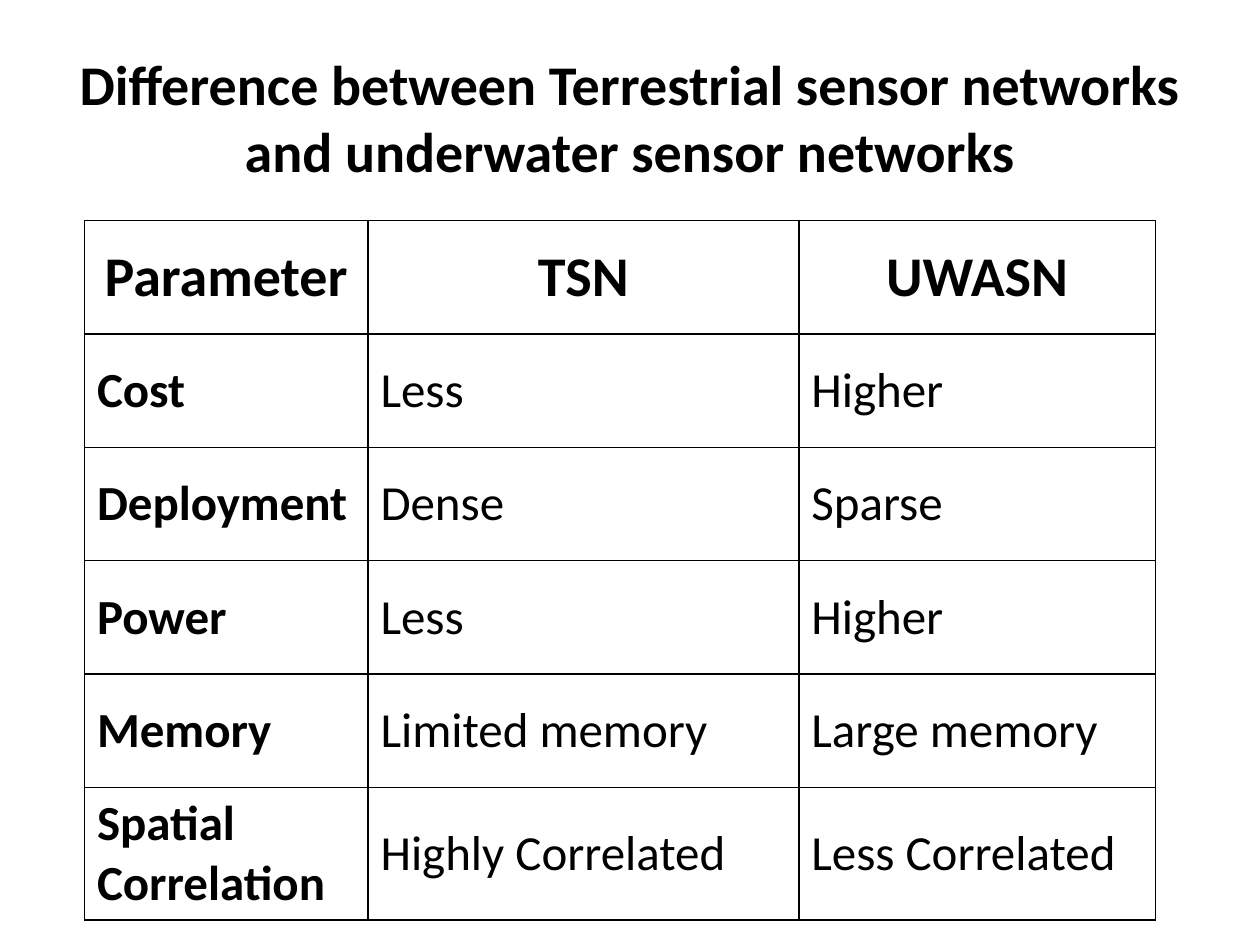
"""Build a slide with a table comparing terrestrial and underwater sensor networks."""
from lxml import etree
from pptx import Presentation
from pptx.dml.color import RGBColor
from pptx.enum import text
from pptx.oxml import ns
from pptx.util import Inches, Pt

BLACK = RGBColor(0, 0, 0)
FONT = "Calibri"


def style(paragraph, size, bold, align):
    paragraph.alignment = align
    for run in paragraph.runs:
        run.font.name = FONT
        run.font.size = Pt(size)
        run.font.bold = bold
        run.font.color.rgb = BLACK


def add_borders(cell):
    properties = cell._tc.get_or_add_tcPr()
    for position, side in enumerate(("lnL", "lnR", "lnT", "lnB")):
        line = etree.Element(ns.qn(f"a:{side}"), w=str(Pt(1)))
        fill = etree.SubElement(line, ns.qn("a:solidFill"))
        etree.SubElement(fill, ns.qn("a:srgbClr"), val=str(BLACK))
        properties.insert(position, line)


presentation = Presentation()
presentation.slide_width = Inches(10)
presentation.slide_height = Inches(7.5)
slide = presentation.slides.add_slide(presentation.slide_layouts[6])

heading = slide.shapes.add_textbox(Inches(0.5), Inches(0.3), Inches(9), Inches(1.25)).text_frame
heading.word_wrap = True
heading.vertical_anchor = text.MSO_ANCHOR.MIDDLE
heading.text = "Difference between Terrestrial sensor networks and underwater sensor networks"
style(heading.paragraphs[0], 32, True, text.PP_ALIGN.CENTER)

comparison = [
    ("Parameter", "TSN", "UWASN"),
    ("Cost", "Less", "Higher"),
    ("Deployment", "Dense", "Sparse"),
    ("Power", "Less", "Higher"),
    ("Memory", "Limited memory", "Large memory"),
    ("Spatial Correlation", "Highly Correlated", "Less Correlated"),
]
column_widths = [2.25, 3.42, 2.83]
row_heights = [0.9] * 5 + [1.05]

table = slide.shapes.add_table(
    len(comparison), len(column_widths),
    Inches(0.67), Inches(1.75), Inches(8.5), Inches(5.55),
).table
for column, width in zip(table.columns, column_widths):
    column.width = Inches(width)
for row, height in zip(table.rows, row_heights):
    row.height = Inches(height)

for r, entries in enumerate(comparison):
    for c, entry in enumerate(entries):
        cell = table.cell(r, c)
        cell.text_frame.text = entry
        cell.vertical_anchor = text.MSO_ANCHOR.MIDDLE
        cell.fill.background()
        add_borders(cell)
        header = r == 0
        style(
            cell.text_frame.paragraphs[0],
            32 if header else 28,
            header or c == 0,
            text.PP_ALIGN.CENTER if header else text.PP_ALIGN.LEFT,
        )

presentation.save("out.pptx")
